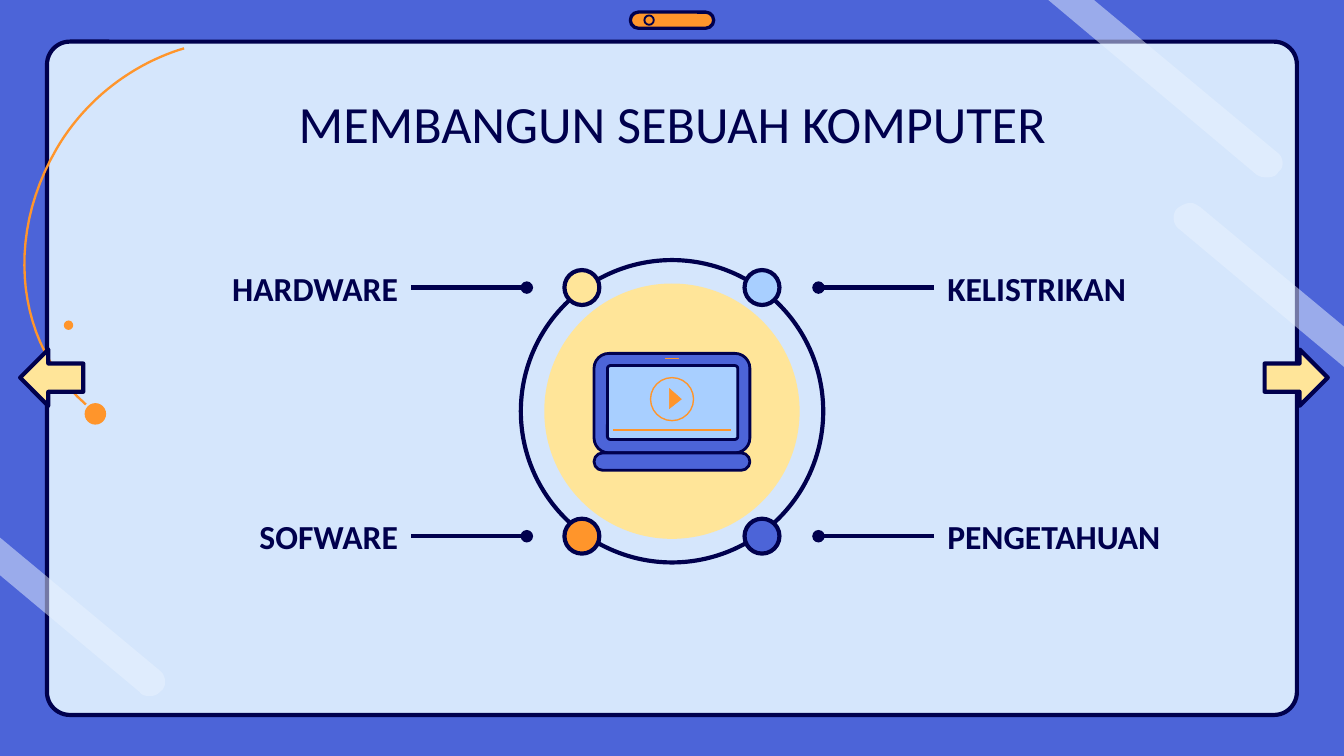
import lxml.etree
import pptx
import pptx.dml.color
import pptx.enum.shapes
import pptx.enum.text
import pptx.oxml.ns
import pptx.util

Inches = pptx.util.Inches
RGBColor = pptx.dml.color.RGBColor
SHAPE = pptx.enum.shapes.MSO_SHAPE
ALIGN = pptx.enum.text.PP_ALIGN
ANCHOR = pptx.enum.text.MSO_ANCHOR
qn = pptx.oxml.ns.qn

NAVY = RGBColor(0x00, 0x00, 0x4D)
BLUE = RGBColor(0x4C, 0x64, 0xD8)
PALE = RGBColor(0xD5, 0xE6, 0xFC)
SKY = RGBColor(0xA8, 0xCF, 0xFF)
ORANGE = RGBColor(0xFF, 0x95, 0x2B)
YELLOW = RGBColor(0xFF, 0xE5, 0x99)
GLOSS = RGBColor(0xE9, 0xF3, 0xFF)


class Painter:
    font = "Calibri"
    margin = Inches(0.1)

    def __init__(self, page):
        self.page = page

    def paint(self, item, fill, line, weight):
        item.shadow.inherit = False
        if fill is None:
            item.fill.background()
        else:
            item.fill.solid()
            item.fill.fore_color.rgb = fill
        if line is None:
            item.line.fill.background()
        else:
            item.line.color.rgb = line
            item.line.width = pptx.util.Pt(weight)
        return item

    def shape(self, kind, left, top, width, height, fill, line=None, weight=2.25, corner=None):
        item = self.page.shapes.add_shape(
            kind, Inches(left), Inches(top), Inches(width), Inches(height))
        if corner is not None:
            item.adjustments[0] = corner
        return self.paint(item, fill, line, weight)

    def circle(self, x, y, size, fill, line=None, weight=2.25):
        return self.shape(SHAPE.OVAL, x - size / 2, y - size / 2, size, size, fill, line, weight)

    def outline(self, start, steps, fill=None, line=None, weight=1, closed=True, samples=24):
        points = [start]
        for step in steps:
            if len(step) == 2:
                points.append(step)
                continue
            corners = [points[-1], step[:2], step[2:4], step[4:]]
            for index in range(1, samples + 1):
                t = index / samples
                weights = [(1 - t) ** 3, 3 * t * (1 - t) ** 2, 3 * t * t * (1 - t), t ** 3]
                points.append(tuple(
                    sum(w * corner[axis] for w, corner in zip(weights, corners))
                    for axis in (0, 1)))
        places = [(Inches(x), Inches(y)) for x, y in points]
        builder = self.page.shapes.build_freeform(*places[0])
        builder.add_line_segments(places[1:], close=closed)
        return self.paint(builder.convert_to_shape(), fill, line, weight)

    def streak(self, start, steps):
        item = self.outline(start, steps, GLOSS)
        color = item._element.spPr.find(qn("a:solidFill")).find(qn("a:srgbClr"))
        lxml.etree.SubElement(color, qn("a:alpha"), val="50000")

    def line(self, x1, x2, y, color=NAVY, weight=2.25, dot=False):
        item = self.page.shapes.add_connector(
            pptx.enum.shapes.MSO_CONNECTOR.STRAIGHT,
            Inches(x1), Inches(y), Inches(x2), Inches(y))
        item.line.color.rgb = color
        item.line.width = pptx.util.Pt(weight)
        if dot:
            lxml.etree.SubElement(item.line._get_or_add_ln(), qn("a:tailEnd"), type="oval")
        lxml.etree.SubElement(item._element.spPr, qn("a:effectLst"))

    def text(self, words, left, top, width, height, size, align, anchor, bold=False):
        box = self.page.shapes.add_textbox(
            Inches(left), Inches(top), Inches(width), Inches(height))
        frame_format = {
            "word_wrap": True, "vertical_anchor": anchor,
            "margin_left": self.margin, "margin_right": self.margin,
            "margin_top": self.margin, "margin_bottom": self.margin,
        }
        for name, value in frame_format.items():
            setattr(box.text_frame, name, value)
        para = box.text_frame.paragraphs[0]
        para.alignment = align
        span = para.add_run()
        span.text = words
        font_format = {"name": self.font, "size": pptx.util.Pt(size), "bold": bold}
        for name, value in font_format.items():
            setattr(span.font, name, value)
        span.font.color.rgb = NAVY


def draw_frame(painter):
    painter.shape(SHAPE.ROUNDED_RECTANGLE, 0.35, 0.31, 9.3, 5.01, PALE, NAVY, corner=0.034)
    painter.shape(SHAPE.ROUNDED_RECTANGLE, 4.69, 0.09, 0.62, 0.12, ORANGE, NAVY, 1.75, 0.5)
    painter.circle(4.83, 0.15, 0.07, None, NAVY, 1)
    painter.outline(
        (0.64, 3.01),
        [(0.13, 2.57, 0.03, 1.78, 0.42, 1.11), (0.64, 0.73, 1, 0.47, 1.37, 0.36)],
        line=ORANGE, weight=1.25, closed=False)
    painter.circle(0.51, 2.42, 0.07, ORANGE)
    painter.circle(0.71, 3.08, 0.16, ORANGE)
    painter.streak((7.8, 0), [
        (9.35, 1.3), (9.38, 1.32, 9.41, 1.32, 9.43, 1.32),
        (9.46, 1.32, 9.5, 1.31, 9.51, 1.28), (9.56, 1.25, 9.55, 1.17, 9.51, 1.14),
        (8.14, 0)])
    painter.streak((1.11, 5.18), [
        (1.15, 5.18, 1.17, 5.17, 1.2, 5.14), (1.24, 5.11, 1.24, 5.03, 1.19, 4.99),
        (0, 4), (0, 4.28), (1.04, 5.15), (1.05, 5.17, 1.08, 5.18, 1.11, 5.18)])
    painter.streak((8.86, 1.51), [
        (8.82, 1.51, 8.79, 1.53, 8.76, 1.55), (8.72, 1.59, 8.72, 1.67, 8.78, 1.71),
        (10, 2.73), (10, 2.43), (8.93, 1.54), (8.91, 1.53, 8.89, 1.51, 8.86, 1.51)])


def draw_laptop(painter):
    painter.circle(5, 3.06, 1.9, YELLOW)
    painter.circle(5, 3.06, 2.25, None, NAVY)
    for left, top, width, height, fill, corner in (
            (4.42, 2.63, 1.16, 0.74, BLUE, 0.15),
            (4.52, 2.72, 0.97, 0.55, SKY, 0.04),
            (4.42, 3.37, 1.16, 0.13, BLUE, 0.5)):
        painter.shape(SHAPE.ROUNDED_RECTANGLE, left, top, width, height, fill, NAVY, 1.5, corner)
    painter.circle(5, 2.97, 0.32, None, ORANGE, 0.75)
    painter.outline((4.98, 2.89), [(4.98, 3.04), (5.07, 2.97)], ORANGE, ORANGE, 0.23)
    painter.line(4.56, 5.44, 3.2, ORANGE, 0.75)
    painter.line(4.95, 5.05, 2.67, ORANGE, 0.75)


def draw_topics(painter):
    for y, text_top, left_topic, left_fill, right_topic, right_fill in (
            (2.14, 1.95, "HARDWARE", YELLOW, "KELISTRIKAN", SKY),
            (3.99, 3.79, "SOFWARE", ORANGE, "PENGETAHUAN", BLUE)):
        for words, fill, left, align, start, end, x in (
                (left_topic, left_fill, 0.79, ALIGN.RIGHT, 3.06, 3.92, 4.33),
                (right_topic, right_fill, 6.95, ALIGN.LEFT, 6.95, 6.09, 5.67)):
            painter.text(words, left, text_top, 2.27, 0.39, 18, align, ANCHOR.MIDDLE, True)
            painter.line(start, end, y, dot=True)
            painter.circle(x, y, 0.26, fill, NAVY)


def main():
    deck = pptx.Presentation()
    deck.slide_width = Inches(10)
    deck.slide_height = deck.slide_width * 9 // 16
    page = deck.slides.add_slide(deck.slide_layouts[6])
    page.background.fill.solid()
    page.background.fill.fore_color.rgb = BLUE
    painter = Painter(page)
    draw_frame(painter)
    painter.text("MEMBANGUN SEBUAH KOMPUTER", 0.79, 0.58, 8.42, 0.63, 28,
                 ALIGN.CENTER, ANCHOR.TOP)
    draw_laptop(painter)
    draw_topics(painter)
    for kind, left in ((SHAPE.LEFT_ARROW, 0.15), (SHAPE.RIGHT_ARROW, 9.41)):
        painter.shape(kind, left, 2.6, 0.47, 0.42, YELLOW, NAVY)
    deck.save("out.pptx")


if __name__ == "__main__":
    main()
